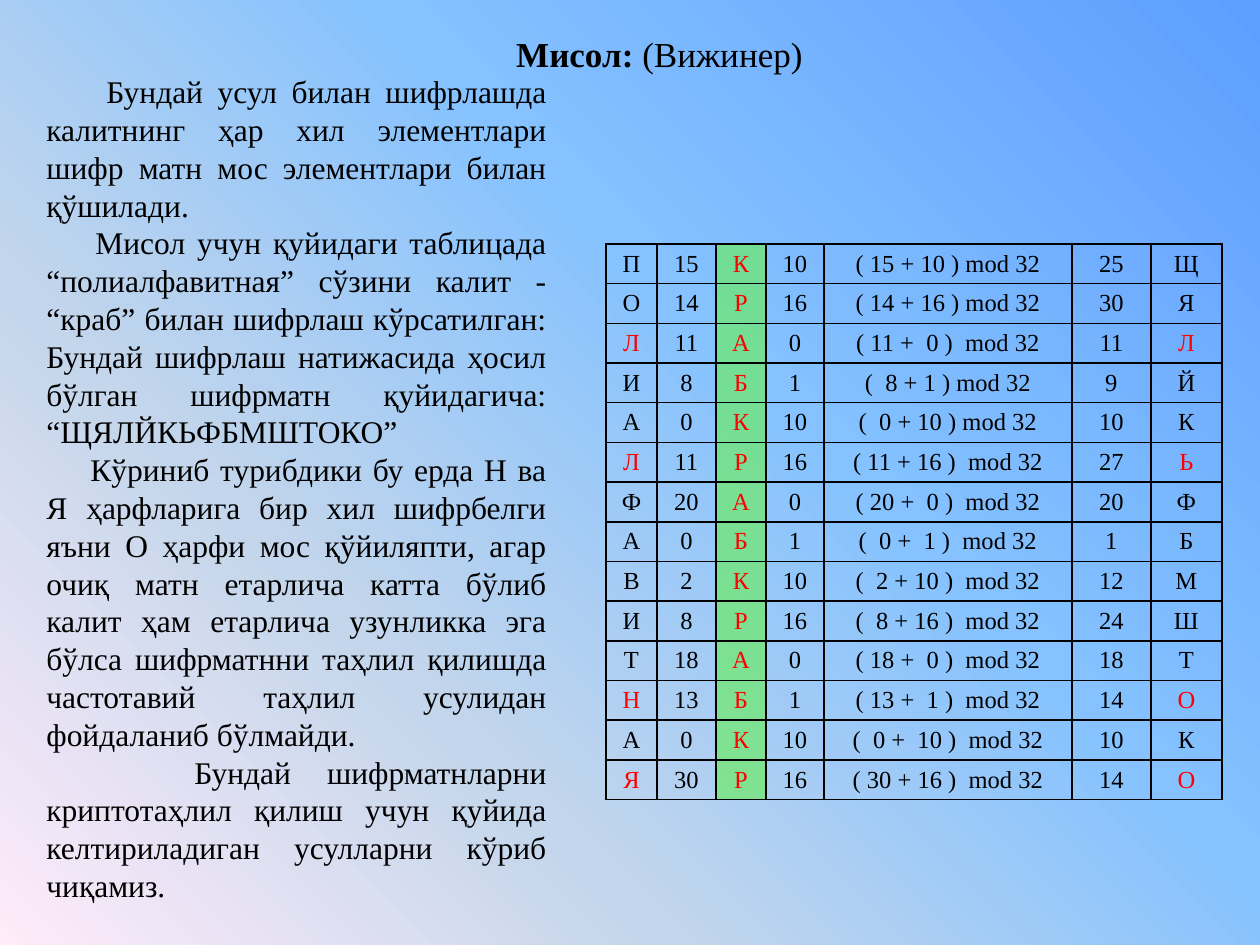
from typing import NamedTuple

from lxml.etree import SubElement
from pptx import Presentation
from pptx.dml.color import RGBColor
from pptx.enum.text import MSO_ANCHOR, PP_ALIGN
from pptx.oxml import parse_xml
from pptx.oxml.ns import nsdecls, qn
from pptx.util import Emu, Pt

PIXEL = 914400 // 126
FONT = "Times New Roman"
COLORS = {
    "text": "000000",
    "accent": "FF0000",
    "key": "6EEA68",
    "pink": "FFEBFA",
    "pale": "C4D6EB",
    "sky": "85C2FF",
    "blue": "5E9EFF",
}
GRADIENT = [(0, "pink"), (30, "pale"), (60, "sky"), (100, "blue")]
COLUMN_WIDTHS = [51, 59, 50, 58, 248, 79, 71]
KEY_COLUMN = 2
LETTER_COLUMNS = (0, 6)
TABLE_LEFT, TABLE_TOP, TABLE_HEIGHT = 606, 244, 556


class Span(NamedTuple):
    text: str
    size: int
    bold: bool = False
    color: str = "text"


class Paragraph(NamedTuple):
    spans: list[Span]
    align: PP_ALIGN
    indent: int = 0


class TextBlock(NamedTuple):
    left: int
    top: int
    width: int
    height: int
    paragraphs: list[Paragraph]


class CipherRow(NamedTuple):
    plain: str
    plain_code: int
    key: str
    key_code: int
    formula: str
    cipher_code: int
    cipher: str
    marked: bool = False


BODY = [
    (60, "Бундай усул билан шифрлашда калитнинг ҳар хил элементлари шифр матн мос "
         "элементлари билан қўшилади."),
    (49, "Мисол учун қуйидаги таблицада “полиалфавитная” сўзини калит - “краб” билан "
         "шифрлаш кўрсатилган: Бундай шифрлаш натижасида ҳосил бўлган шифрматн "
         "қуйидагича: “ЩЯЛЙКЬФБМШТОКО”"),
    (44, "Кўриниб турибдики бу ерда Н ва Я ҳарфларига бир хил шифрбелги яъни О ҳарфи "
         "мос қўйиляпти, агар очиқ матн етарлича катта бўлиб калит ҳам етарлича "
         "узунликка эга бўлса шифрматнни таҳлил қилишда частотавий таҳлил усулидан "
         "фойдаланиб бўлмайди."),
    (148, "Бундай шифрматнларни криптотаҳлил қилиш учун қуйида келтириладиган "
          "усулларни кўриб чиқамиз."),
]
TEXT_BLOCKS = [
    TextBlock(34, 66, 525, 845, [
        Paragraph([Span(text, 18)], PP_ALIGN.JUSTIFY, indent) for indent, text in BODY
    ]),
    TextBlock(451, 26, 417, 54, [
        Paragraph([Span("Мисол: ", 20, True), Span("(Вижинер)", 20)], PP_ALIGN.CENTER),
    ]),
]
CIPHER_ROWS = [
    CipherRow("П", 15, "К", 10, "( 15 + 10 ) mod 32", 25, "Щ"),
    CipherRow("О", 14, "Р", 16, "( 14 + 16 ) mod 32", 30, "Я"),
    CipherRow("Л", 11, "А", 0, "( 11 +  0 )  mod 32", 11, "Л", True),
    CipherRow("И", 8, "Б", 1, "(  8 + 1 ) mod 32", 9, "Й"),
    CipherRow("А", 0, "К", 10, "(  0 + 10 ) mod 32", 10, "К"),
    CipherRow("Л", 11, "Р", 16, "( 11 + 16 )  mod 32", 27, "Ь", True),
    CipherRow("Ф", 20, "А", 0, "( 20 +  0 )  mod 32", 20, "Ф"),
    CipherRow("А", 0, "Б", 1, "(  0 +  1 )  mod 32", 1, "Б"),
    CipherRow("В", 2, "К", 10, "(  2 + 10 )  mod 32", 12, "М"),
    CipherRow("И", 8, "Р", 16, "(  8 + 16 )  mod 32", 24, "Ш"),
    CipherRow("Т", 18, "А", 0, "( 18 +  0 )  mod 32", 18, "Т"),
    CipherRow("Н", 13, "Б", 1, "( 13 +  1 )  mod 32", 14, "О", True),
    CipherRow("А", 0, "К", 10, "(  0 +  10 )  mod 32", 10, "К"),
    CipherRow("Я", 30, "Р", 16, "( 30 + 16 )  mod 32", 14, "О", True),
]


def px(length: int) -> Emu:
    return Emu(length * PIXEL)


def paint_background(page) -> None:
    fill = page.background.fill
    fill.gradient()
    fill.gradient_angle = 45
    stops = "".join(
        f'<a:gs pos="{position * 1000}"><a:srgbClr val="{COLORS[name]}"/></a:gs>'
        for position, name in GRADIENT
    )
    old_stops = next(page.element.iter(qn("a:gsLst")))
    new_stops = parse_xml(f'<a:gsLst {nsdecls("a")}>{stops}</a:gsLst>')
    old_stops.getparent().replace(old_stops, new_stops)


def write_paragraph(para, paragraph: Paragraph) -> None:
    para.alignment = paragraph.align
    if paragraph.indent:
        para._p.get_or_add_pPr().set("indent", str(px(paragraph.indent)))
    for span in paragraph.spans:
        run = para.add_run()
        run.text = span.text
        run.font.name = FONT
        run.font.size = Pt(span.size)
        run.font.bold = span.bold
        run.font.color.rgb = RGBColor.from_string(COLORS[span.color])


def draw_text(page, block: TextBlock) -> None:
    box = page.shapes.add_textbox(
        px(block.left), px(block.top), px(block.width), px(block.height))
    frame = box.text_frame
    frame.word_wrap = True
    for index, paragraph in enumerate(block.paragraphs):
        para = frame.add_paragraph() if index else frame.paragraphs[0]
        write_paragraph(para, paragraph)


def add_borders(cell) -> None:
    properties = cell._tc.get_or_add_tcPr()
    for index, side in enumerate(("lnL", "lnR", "lnT", "lnB")):
        properties.insert(index, parse_xml(
            f'<a:{side} {nsdecls("a")} w="12700"><a:solidFill>'
            f'<a:srgbClr val="{COLORS["text"]}"/></a:solidFill></a:{side}>'))


def fill_key_cell(cell) -> None:
    cell.fill.solid()
    cell.fill.fore_color.rgb = RGBColor.from_string(COLORS["key"])
    color = next(cell._tc.tcPr.iter(qn("a:srgbClr")))
    SubElement(color, qn("a:alpha")).set("val", "70000")


def draw_cell(cell, column: int, value: str, marked: bool) -> None:
    cell.vertical_anchor = MSO_ANCHOR.MIDDLE
    cell.margin_top = cell.margin_bottom = px(2)
    if column == KEY_COLUMN:
        fill_key_cell(cell)
    else:
        cell.fill.background()
    add_borders(cell)
    accent = column == KEY_COLUMN or marked and column in LETTER_COLUMNS
    span = Span(value, 14, color="accent" if accent else "text")
    write_paragraph(cell.text_frame.paragraphs[0], Paragraph([span], PP_ALIGN.CENTER))


def draw_table(page, rows: list[CipherRow]) -> None:
    table = page.shapes.add_table(
        len(rows), len(COLUMN_WIDTHS), px(TABLE_LEFT), px(TABLE_TOP),
        px(sum(COLUMN_WIDTHS)), px(TABLE_HEIGHT)).table
    table.first_row = table.horz_banding = False
    for column, width in zip(table.columns, COLUMN_WIDTHS):
        column.width = px(width)
    for row_index, row in enumerate(rows):
        for column, value in enumerate(row[:-1]):
            draw_cell(table.cell(row_index, column), column, str(value), row.marked)


def main() -> None:
    deck = Presentation()
    deck.slide_width, deck.slide_height = px(1260), px(945)
    page = deck.slides.add_slide(deck.slide_layouts[6])
    paint_background(page)
    draw_table(page, CIPHER_ROWS)
    for block in TEXT_BLOCKS:
        draw_text(page, block)
    deck.save("out.pptx")


if __name__ == "__main__":
    main()
